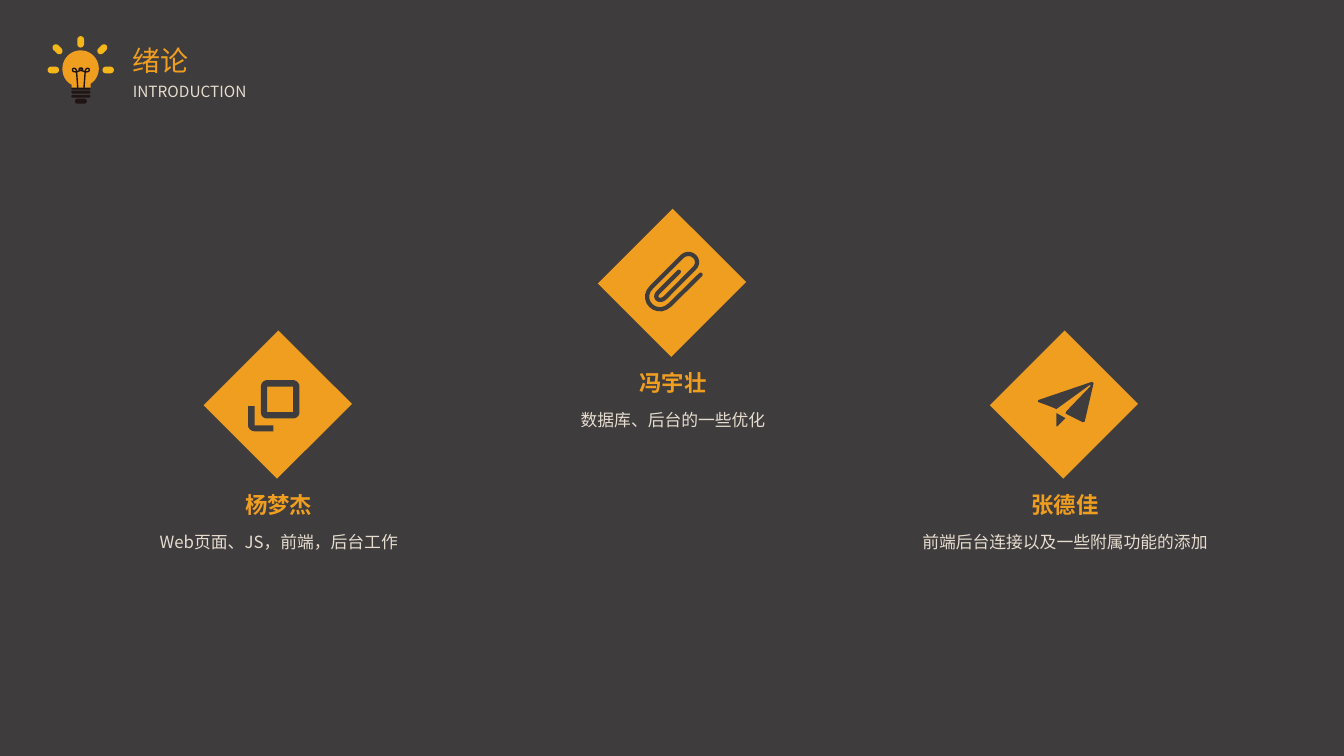
from lxml import etree
from pptx import Presentation
from pptx.dml.color import RGBColor
from pptx.enum.shapes import MSO_SHAPE
from pptx.enum.text import MSO_AUTO_SIZE, PP_ALIGN
from pptx.oxml.ns import qn
from pptx.util import Pt

RECT, ROUNDED = MSO_SHAPE.RECTANGLE, MSO_SHAPE.ROUNDED_RECTANGLE
LEFT, CENTER = PP_ALIGN.LEFT, PP_ALIGN.CENTER
FIT = MSO_AUTO_SIZE.SHAPE_TO_FIT_TEXT
ORANGE = RGBColor(0xEF, 0x9E, 0x20)
YELLOW = RGBColor(0xF3, 0xB7, 0x1A)
GRAY = RGBColor(0x3F, 0x3C, 0x3D)
BLACK = RGBColor(0x20, 0x15, 0x14)
CREAM = RGBColor(0xE6, 0xDC, 0xCF)
FONT = "Noto Sans CJK SC"

# Two numbers are a straight step, six a Bézier step, relative to the icon centre.
SQUARES = [
    [(-21.2, 1.1), (-21.2, 14.8), (-21.2, 17, -19, 19.1, -16.5, 19.1), (-3.2, 19.1),
     (-3.2, 14.8), (-16.5, 14.8), (-16.5, 1.1)],
    [(-7.6, -17.4), (-10.4, -17.4, -12, -15, -12, -12.8), (-12, 5.4),
     (-12, 8, -10.4, 9.9, -7.6, 9.9), (11, 9.9), (13.5, 9.9, 15.5, 8, 15.5, 5.4),
     (15.5, -12.8), (15.5, -15, 13.5, -17.4, 11, -17.4)],
    [(-7.6, -12.8), (11, -12.8), (11, 5.4), (-7.6, 5.4)],
]
CLIP = [
    [(20.5, -5.8), (-1.4, 15.8), (-11, 25, -24, 12, -14.4, 2.9), (7.2, -18.7),
     (13.5, -24.5, 22.1, -15.9, 15.8, -10.1), (-5, 10.8),
     (-9.3, 14.6, -13.7, 10.3, -9.4, 6.5), (5, -7.9)],
]
PLANE = [
    [(-5.4, 6.1), (-5.4, 15.5), (-4.7, 15.5), (1.1, 9.7)],
    [(19.8, -16.2), (-18.4, -3.2), (-18.4, -1.8), (-10.4, 1.1), (-5.4, 3.2),
     (18.4, -14), (19.1, -13.3), (1.8, 4.7), (1.1, 6.1), (1.8, 6.8),
     (13.3, 12.6), (14.8, 12.2), (21.2, -15.5)],
]
BULB = [
    [(-6.5, 12.2), (-6.5, 10.1), (-10.8, 7.9, -13, 3.6, -13, -1.4),
     (-13, -8.6, -7.2, -14.4, 0, -14.4), (7.2, -14.4, 13, -8.6, 13, -1.4),
     (13, 2.9, 10.8, 7.2, 7.2, 9.4), (7.2, 12.2)],
]
FILAMENT = [
    [(-2, 12.4), (-2.9, 0.7), (-2.9, -2, -5.8, -2.2, -5.8, -0.5),
     (-5.8, 1.2, -2.9, 1.2, -1.6, 0.4), (2.5, -0.5, 1.8, -1.8, 0.2, -1.8),
     (-1.4, -1.8, -2.1, -0.5, 2, 0.4), (3.3, 1.2, 6.2, 1.2, 6.2, -0.5),
     (6.2, -2.2, 3.3, -2, 3.3, 0.7), (2.4, 12.4)],
]
BULB_X, BULB_Y = 57.6, 50.4
RAYS = [(-19.5, -0.4, 0), (19.7, -0.4, 0), (15.5, -15.2, -45), (-16.5, -15.2, 45), (0, -20.5, 90)]
SOCKET = [(13.6, 13, 1.4), (13.6, 15.4, 2.1), (13.6, 18.4, 2.1), (8.6, 21.9, 3.6)]

MEMBERS = [
    (198.4, 289, "杨梦杰", "Web页面、JS，前端，后台工作", SQUARES, None),
    (480, 202, "冯宇壮", "数据库、后台的一些优化", CLIP, 3),
    (760, 289, "张德佳", "前端后台连接以及一些附属功能的添加", PLANE, None),
]


def paint(sp, color):
    sp.shadow.inherit = False
    sp.fill.solid()
    sp.fill.fore_color.rgb = color
    sp.line.fill.background()


def box(kind, cx, cy, w, h, color, angle=0):
    sp = s.shapes.add_shape(kind, Pt(cx - w / 2), Pt(cy - h / 2), Pt(w), Pt(h))
    paint(sp, color)
    sp.rotation = angle
    if kind == ROUNDED:
        sp.adjustments[0] = 0.5


def flatten(steps, cx, cy, parts=10):
    points = [steps[0]]
    for step in steps[1:]:
        if len(step) == 2:
            points.append(step)
            continue
        x0, y0 = points[-1]
        x1, y1, x2, y2, x3, y3 = step
        for i in range(1, parts + 1):
            t = i / parts
            a, b, c, d = (1 - t) ** 3, 3 * t * (1 - t) ** 2, 3 * t * t * (1 - t), t ** 3
            points.append((a * x0 + b * x1 + c * x2 + d * x3, a * y0 + b * y1 + c * y2 + d * y3))
    return [(Pt(cx + x), Pt(cy + y)) for x, y in points]


def icon(contours, cx, cy, color, stroke=None):
    outlines = [flatten(steps, cx, cy) for steps in contours]
    fb = s.shapes.build_freeform(*outlines[0][0], scale=1.0)
    for i, points in enumerate(outlines):
        if i:
            fb.move_to(*points[0])
        fb.add_line_segments(points[1:], close=stroke is None)
    sp = fb.convert_to_shape()
    paint(sp, color)
    if stroke:
        sp.fill.background()
        sp.line.color.rgb = color
        sp.line.width = Pt(stroke)
        ln = sp._element.spPr.find(qn("a:ln"))
        ln.set("cap", "rnd")
        etree.SubElement(ln, qn("a:round"))


def label(text, x, y, w, h, size, color, align=LEFT, bold=False, spacing=None, wrap=True):
    tf = s.shapes.add_textbox(Pt(x), Pt(y), Pt(w), Pt(h)).text_frame
    tf.word_wrap = wrap
    tf.auto_size = FIT
    p = tf.paragraphs[0]
    p.text = text
    p.alignment = align
    if spacing:
        p.line_spacing = spacing
    p.font.size = Pt(size)
    p.font.bold = bold
    p.font.color.rgb = color
    p.font.name = FONT
    etree.SubElement(p._p.pPr.find(qn("a:defRPr")), qn("a:ea")).set("typeface", FONT)


prs = Presentation()
prs.slide_width, prs.slide_height = Pt(960), Pt(540)
s = prs.slides.add_slide(prs.slide_layouts[6])
s.background.fill.solid()
s.background.fill.fore_color.rgb = GRAY

icon(BULB, BULB_X, BULB_Y, ORANGE)
icon(FILAMENT, BULB_X, BULB_Y, BLACK, 1)
for w, dy, h in SOCKET:
    box(ROUNDED, BULB_X + 0.2, BULB_Y + dy, w, h, BLACK)
for dx, dy, angle in RAYS:
    box(ROUNDED, BULB_X + dx, BULB_Y + dy, 8.2, 4.8, YELLOW, angle)

label("绪论", 87.8, 27.4, 54.7, 31.7, 20, ORANGE, wrap=False)
label("INTRODUCTION", 87.8, 51.1, 225.4, 23, 11, CREAM, spacing=1.3)

for cx, cy, name, task, contours, stroke in MEMBERS:
    box(RECT, cx, cy, 75.6, 74.2, ORANGE, 315)
    icon(contours, cx, cy, GRAY, stroke)
    label(name, cx - 59.4, cy + 58, 120.2, 26.6, 16, ORANGE, CENTER, bold=True)
    label(task, cx - 109.7, cy + 83, 221, 25.5, 12, CREAM, CENTER, spacing=1.3)

prs.save("out.pptx")
